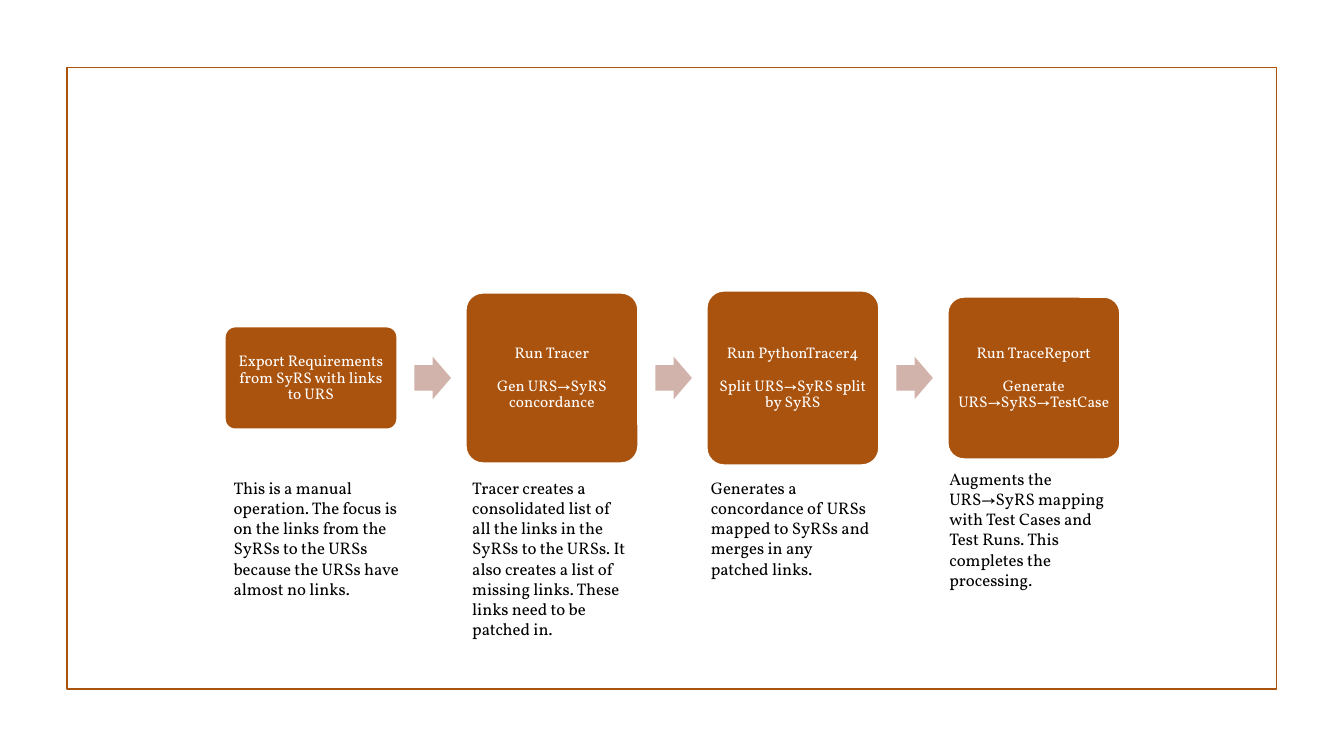
from dataclasses import dataclass

from pptx import Presentation
from pptx.dml.color import RGBColor
from pptx.enum.shapes import MSO_SHAPE
from pptx.enum.text import MSO_ANCHOR, MSO_AUTO_SIZE, PP_ALIGN
from pptx.shapes.autoshape import Shape
from pptx.util import Length, Pt


@dataclass(frozen=True)
class Theme:
    font: str = "Vollkorn"
    rust: RGBColor = RGBColor(0xAA, 0x53, 0x0E)
    blush: RGBColor = RGBColor(0xD1, 0xB3, 0xAB)
    white: RGBColor = RGBColor(0xFF, 0xFF, 0xFF)
    black: RGBColor = RGBColor(0, 0, 0)
    step_size: Length = Pt(11)
    caption_size: Length = Pt(12)
    outline: Length = Pt(1.25)


@dataclass(frozen=True)
class Step:
    lines: tuple[str, ...]
    height: float
    caption: str
    caption_height: float
    caption_top: float = 337.7
    caption_width: float = 128.9


THEME = Theme()

STEPS = (
    Step(("Export Requirements from SyRS with links to URS",), 73.4,
         "This is a manual operation. The focus is on the links from the SyRSs "
         "to the URSs because the URSs have almost no links.",
         79.9, caption_width=141.8),
    Step(("Run Tracer", "Gen URS→SyRS concordance"), 121.7,
         "Tracer creates a consolidated list of all the links in the SyRSs to the "
         "URSs. It also creates a list of missing links. These links need to be "
         "patched in.", 108.7),
    Step(("Run PythonTracer4", "Split URS→SyRS split by SyRS"), 124.6,
         "Generates a concordance of URSs mapped to SyRSs and merges in any "
         "patched links.", 79.9),
    Step(("Run TraceReport", "Generate URS→SyRS→TestCase"), 115.9,
         "Augments the URS→SyRS mapping with Test Cases and Test Runs. This "
         "completes the processing.", 94.3, caption_top=331.2),
)

# Flow geometry in points
FLOW_LEFT, FLOW_MIDDLE, STEP_PITCH, STEP_WIDTH = 160.6, 270, 172.1, 123.1
ARROW_WIDTH, ARROW_HEIGHT = 26.1, 30.5
CAPTION_LEFT, CAPTION_PITCH = 159.8, 170.4
STEP_INSET = Pt(3.3)

STEP_FRAME = {
    "word_wrap": True, "vertical_anchor": MSO_ANCHOR.MIDDLE,
    "margin_left": STEP_INSET, "margin_right": STEP_INSET,
    "margin_top": STEP_INSET, "margin_bottom": STEP_INSET,
}
CAPTION_FRAME = {"word_wrap": True, "auto_size": MSO_AUTO_SIZE.SHAPE_TO_FIT_TEXT}
STEP_PARAGRAPH = {"alignment": PP_ALIGN.CENTER, "line_spacing": 0.9}
STEP_GAP = Pt(11.7)


def apply_format(target: object, values: dict[str, object]) -> None:
    for name, value in values.items():
        setattr(target, name, value)


def add_block(kind: MSO_SHAPE, left: float, top: float, width: float, height: float,
              fill: RGBColor | None = None, line: RGBColor | None = None) -> Shape:
    block = slide.shapes.add_shape(kind, Pt(left), Pt(top), Pt(width), Pt(height))
    block.shadow.inherit = False
    if fill is None:
        block.fill.background()
    else:
        block.fill.solid()
        block.fill.fore_color.rgb = fill
    if line is None:
        block.line.fill.background()
    else:
        block.line.color.rgb = line
        block.line.width = THEME.outline
    return block


def write(holder: Shape, lines: tuple[str, ...], size: Length, color: RGBColor,
          frame_format: dict[str, object], paragraph_format: dict[str, object]) -> None:
    frame = holder.text_frame
    apply_format(frame, frame_format)
    for index, line in enumerate(lines):
        paragraph = frame.add_paragraph() if index else frame.paragraphs[0]
        apply_format(paragraph, paragraph_format)
        if index:
            paragraph.space_before = STEP_GAP
        run = paragraph.add_run()
        run.text = line
        apply_format(run.font, {"name": THEME.font, "size": size})
        run.font.color.rgb = color


def add_step(index: int, step: Step) -> None:
    left = FLOW_LEFT + index * STEP_PITCH
    box = add_block(MSO_SHAPE.ROUNDED_RECTANGLE, left, FLOW_MIDDLE - step.height / 2,
                    STEP_WIDTH, step.height, THEME.rust, THEME.white)
    box.adjustments[0] = 0.1
    write(box, step.lines, THEME.step_size, THEME.white, STEP_FRAME, STEP_PARAGRAPH)

    # Arrow to the next step
    if index < len(STEPS) - 1:
        arrow = add_block(MSO_SHAPE.RIGHT_ARROW, left + 1.1 * STEP_WIDTH,
                          FLOW_MIDDLE - ARROW_HEIGHT / 2,
                          ARROW_WIDTH, ARROW_HEIGHT, THEME.blush)
        arrow.adjustments[0] = 0.6
        arrow.adjustments[1] = 0.5


def add_caption(index: int, step: Step) -> None:
    caption = slide.shapes.add_textbox(
        Pt(CAPTION_LEFT + index * CAPTION_PITCH), Pt(step.caption_top),
        Pt(step.caption_width), Pt(step.caption_height))
    write(caption, (step.caption,), THEME.caption_size, THEME.black, CAPTION_FRAME, {})


presentation = Presentation()
apply_format(presentation, {"slide_width": Pt(960), "slide_height": Pt(540)})
slide = presentation.slides.add_slide(presentation.slide_layouts[6])

# Page border
add_block(MSO_SHAPE.RECTANGLE, 47.8, 48.2, 864, 444, line=THEME.rust)

# Process flow
for position, stage in enumerate(STEPS):
    add_step(position, stage)

# Explanations under the flow
for position, stage in enumerate(STEPS):
    add_caption(position, stage)

presentation.save("out.pptx")
